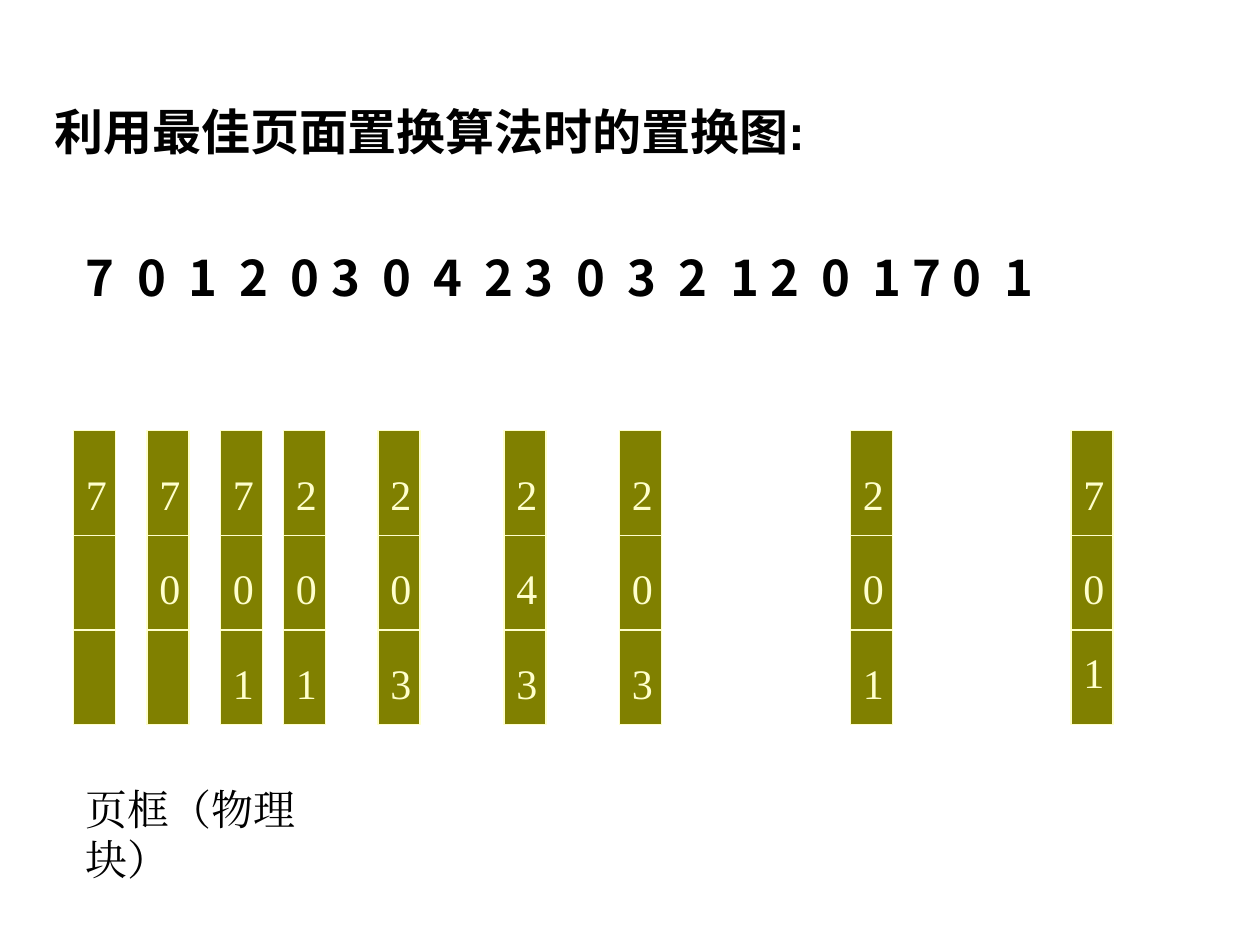
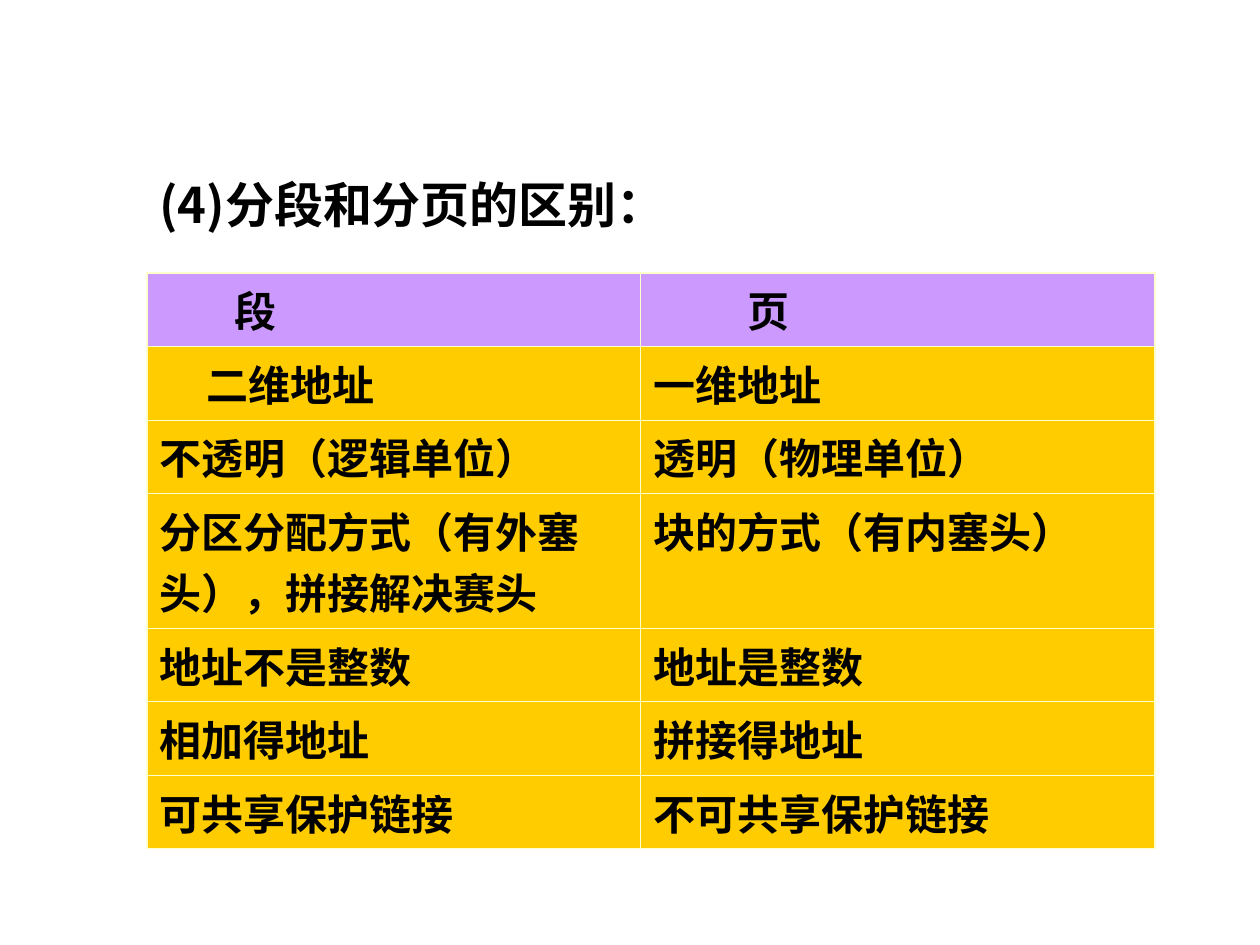
from itertools import accumulate

from lxml.etree import SubElement
from pptx import Presentation
from pptx.dml.color import RGBColor
from pptx.enum.shapes import MSO_CONNECTOR as Connector, MSO_SHAPE as Shape
from pptx.enum.text import MSO_ANCHOR as Anchor
from pptx.oxml.ns import qn
from pptx.util import Pt

BLACK, CREAM, OLIVE = "000000", "FFFFCC", "808000"
PURPLE, GOLD = "CC99FF", "FFCC00"
SANS = "Noto Sans CJK SC"
HEADING = {"name": SANS, "size": Pt(28), "bold": True}
TITLE = {**HEADING, "name": "Arial"}
CELL = {**HEADING, "size": Pt(24)}
PLAIN = {"name": "Times New Roman", "size": Pt(24), "bold": False}

# Page references: digits inside a group stand wider apart than the groups do
REFERENCE_GROUPS = ["70120", "3042", "30321", "201", "7", "01"]
WIDE_STEP, NARROW_STEP = 29.3, 22.9

# Left edge of each set of page frames, and the pages it holds
FRAMES = [
    (42, "7"), (84, "70"), (126, "701"), (162, "201"), (216, "203"),
    (288, "243"), (354, "203"), (486, "201"), (612, "701"),
]
FRAME_TOP, FRAME_WIDTH, FRAME_HEIGHT = 246, 24, 168
FIRST_DIVIDER, FIRST_DIGIT, SLOT = 60, 18, 54

# Each cell is its text and its indent
COMPARISON = [
    (("段", 43), ("页", 54)),
    (("二维地址", 27), ("一维地址", 0)),
    (("不透明（逻辑单位）", 0), ("透明（物理单位）", 0)),
    (("分区分配方式（有外塞头），拼接解决赛头", 0), ("块的方式（有内塞头）", 0)),
    (("地址不是整数", 0), ("地址是整数", 0)),
    (("相加得地址", 0), ("拼接得地址", 0)),
    (("可共享保护链接", 0), ("不可共享保护链接", 0)),
]
COLUMN_WIDTHS = [282, 294]
ROW_HEIGHTS = [42, 42, 42, 77, 42, 42, 42]
OUTER_LINE, INNER_LINE = 1.08, 0.45


def color(value):
    return RGBColor.from_string(value)


def write(para, text, style, ink=BLACK):
    span = para.add_run()
    span.text = text
    for name, value in style.items():
        setattr(span.font, name, value)
    span.font.color.rgb = color(ink)
    east_asian = SubElement(span.font._element, qn("a:ea"))
    east_asian.set("typeface", style["name"])


def add_text(page, box, text, style, ink=BLACK, wrap=True, anchor=Anchor.TOP):
    frame = page.shapes.add_textbox(*map(Pt, box)).text_frame
    frame.word_wrap = wrap
    frame.vertical_anchor = anchor
    para = frame.paragraphs[0]
    write(para, text, style, ink)
    return para


def add_references(page, box):
    """Write the page reference string, one tab stop per digit."""
    steps = []
    for group in REFERENCE_GROUPS:
        steps += [NARROW_STEP] + [WIDE_STEP] * (len(group) - 1)
    para = add_text(page, box, "\t".join("".join(REFERENCE_GROUPS)), HEADING)
    tabs = SubElement(para._p.get_or_add_pPr(), qn("a:tabLst"))
    for position in accumulate(steps[1:]):
        SubElement(tabs, qn("a:tab"), pos=str(Pt(position)), algn="l")


def add_frames(page, left, top, pages, last_shift=0):
    """Draw three stacked page frames and the pages loaded in them."""
    block = page.shapes.add_shape(
        Shape.RECTANGLE, Pt(left), Pt(top), Pt(FRAME_WIDTH), Pt(FRAME_HEIGHT))
    block.shadow.inherit = False
    block.fill.solid()
    block.fill.fore_color.rgb = color(OLIVE)
    block.line.color.rgb = color(CREAM)
    block.line.width = Pt(0.75)
    for index in range(2):
        y = Pt(top + FIRST_DIVIDER + index * SLOT)
        divider = page.shapes.add_connector(
            Connector.STRAIGHT, Pt(left), y, Pt(left + FRAME_WIDTH), y)
        divider.line.color.rgb = color(CREAM)
        divider.line.width = Pt(0.75)
        SubElement(divider._element.spPr, qn("a:effectLst"))
    for index, digit in enumerate(pages):
        y = top + FIRST_DIGIT + index * SLOT + (last_shift if index == 2 else 0)
        add_text(page, (left, y, 26, 36), digit, PLAIN, CREAM, wrap=False)


def add_border(cell, side, width):
    line = SubElement(cell._tc.get_or_add_tcPr(), qn(f"a:ln{side}"), w=str(Pt(width)))
    fill = SubElement(line, qn("a:solidFill"))
    SubElement(fill, qn("a:srgbClr"), val=CREAM)


def add_comparison(page, left, top):
    rows, columns = len(COMPARISON), len(COLUMN_WIDTHS)
    table = page.shapes.add_table(
        rows, columns, Pt(left), Pt(top),
        Pt(sum(COLUMN_WIDTHS)), Pt(sum(ROW_HEIGHTS))).table
    for column, width in zip(table.columns, COLUMN_WIDTHS):
        column.width = Pt(width)
    for row, height in zip(table.rows, ROW_HEIGHTS):
        row.height = Pt(height)
    for r, entries in enumerate(COMPARISON):
        for c, (text, indent) in enumerate(entries):
            cell = table.cell(r, c)
            outer = {"L": c == 0, "R": c == columns - 1,
                     "T": r == 0, "B": r == rows - 1}
            for side, is_outer in outer.items():
                add_border(cell, side, OUTER_LINE if is_outer else INNER_LINE)
            cell.fill.solid()
            cell.fill.fore_color.rgb = color(GOLD if r else PURPLE)
            para = cell.text_frame.paragraphs[0]
            if indent:
                para._p.get_or_add_pPr().set("indent", str(Pt(indent)))
            write(para, text, CELL)


def build_replacement(page):
    add_text(page, (24, 54, 456, 41), "利用最佳页面置换算法时的置换图:", TITLE,
             anchor=Anchor.BOTTOM)
    add_references(page, (42, 138, 648, 84))
    for left, pages in FRAMES:
        is_last = left == FRAMES[-1][0]
        add_frames(page, left, FRAME_TOP, pages, last_shift=-6 if is_last else 0)
    add_text(page, (42, 444, 180, 65), "页框（物理块）", PLAIN)


def build_comparison(page):
    add_text(page, (84, 96, 612, 324), "(4)分段和分页的区别：", HEADING)
    add_comparison(page, 84, 156)


def main():
    deck = Presentation()
    deck.slide_width, deck.slide_height = Pt(720), Pt(540)
    for build in (build_replacement, build_comparison):
        build(deck.slides.add_slide(deck.slide_layouts[6]))
    deck.save("out.pptx")


if __name__ == "__main__":
    main()
